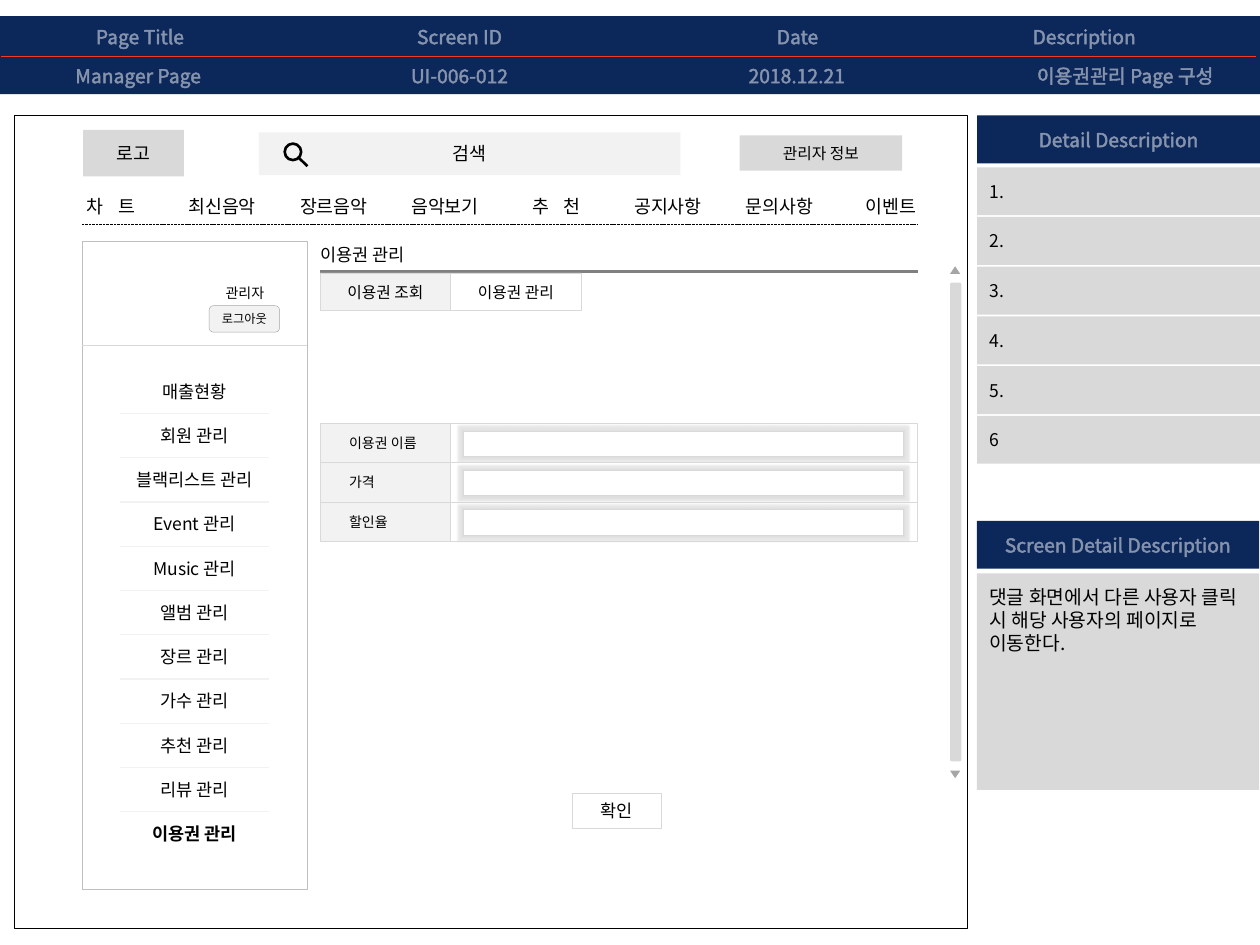
from lxml import etree
from pptx import Presentation
from pptx.dml.color import RGBColor
from pptx.enum import dml, shapes, text
from pptx.oxml import ns
from pptx.util import Pt

FONT = "Noto Sans CJK KR"
COLORS = {
    "navy": "0C2759", "white": "FFFFFF", "black": "000000", "red": "F33A24",
    "panel": "D9D9D9", "pale": "F2F2F2", "border": "BFBFBF",
    "arrow": "A6A6A6", "rule": "808080",
}
HEADER_ROWS = [
    (10.4, [("Page Title", 2, 156), ("Screen ID", 192.4, 140.4),
            ("Date", 367.9, 175.7), ("Description", 577.6, 84)]),
    (32.7, [("Manager Page", 1, 156), ("UI-006-012", 192.4, 140.4),
            ("2018.12.21", 367.5, 175.7), ("이용권관리 Page 구성", 579, 128)]),
]
DETAILS = ["1.", "2.", "3.", "4.", "5.", "6"]
SCREEN_DETAIL = "댓글 화면에서 다른 사용자 클릭 시 해당 사용자의 페이지로 이동한다."
MENU = ["차 트", "최신음악", "장르음악", "음악보기", "추 천", "공지사항", "문의사항", "이벤트"]
SIDEBAR = ["매출현황", "회원 관리", "블랙리스트 관리", "Event 관리", "Music 관리", "앨범 관리",
           "장르 관리", "가수 관리", "추천 관리", "리뷰 관리", "이용권 관리"]
TABS = [("이용권 조회", "pale"), ("이용권 관리", "white")]
FIELDS = ["이용권 이름", "가격", "할인율"]

deck = Presentation()
deck.slide_width, deck.slide_height = Pt(720), Pt(540)
page = deck.slides.add_slide(deck.slide_layouts[5])


def rgb(name):
    return RGBColor.from_string(COLORS[name])


def child(parent, tag, **attributes):
    return etree.SubElement(parent, ns.qn(tag), attributes)


def add_span(para, words, size, color, bold=False, spacing=None):
    span = para.add_run()
    span.text = words
    font = span.font
    font.name, font.size, font.bold = FONT, Pt(size), bold
    font.color.rgb = rgb(color)
    props = font._element
    child(props, "a:ea", typeface=FONT)
    outline = etree.Element(ns.qn("a:ln"), w="9525")
    props.insert(0, outline)
    solid = child(outline, "a:solidFill")
    child(child(solid, "a:srgbClr", val=COLORS["white"]), "a:alpha", val="50000")
    if spacing:
        props.set("spc", str(spacing))


def write(box, words, size, color="black", centred=True, bold=False,
          inset=7.2, top=None, wide_space=False):
    frame = box.text_frame
    frame.word_wrap = True
    frame.auto_size = text.MSO_AUTO_SIZE.NONE
    frame.margin_left = Pt(inset)
    frame.margin_right = Pt(min(inset, 7.2))
    frame.margin_top, frame.margin_bottom = Pt(top or 0), Pt(0)
    frame.vertical_anchor = text.MSO_ANCHOR.TOP if top else text.MSO_ANCHOR.MIDDLE
    para = frame.paragraphs[0]
    para.alignment = text.PP_ALIGN.CENTER if centred else text.PP_ALIGN.LEFT
    para.line_spacing = Pt(round(size * 1.2, 1))
    if wide_space:
        first, last = words.split()
        add_span(para, first, size, color)
        add_span(para, " ", size, color, spacing=600)
        add_span(para, last, size, color)
    else:
        add_span(para, words, size, color, bold)


def label(words, left, top, width, height, size, **options):
    box = page.shapes.add_textbox(Pt(left), Pt(top), Pt(width), Pt(height))
    write(box, words, size, **options)


def shape(left, top, width, height, fill=None, line=None, weight=0.25, kind="RECTANGLE"):
    box = page.shapes.add_shape(getattr(shapes.MSO_SHAPE, kind),
                                Pt(left), Pt(top), Pt(width), Pt(height))
    box.shadow.inherit = False
    if fill:
        box.fill.solid()
        box.fill.fore_color.rgb = rgb(fill)
    else:
        box.fill.background()
    if line:
        box.line.color.rgb = rgb(line)
        box.line.width = Pt(weight)
    else:
        box.line.fill.background()
    return box


def rule(x1, y1, x2, y2, color, weight=0.75, dash=None):
    line = page.shapes.add_connector(shapes.MSO_CONNECTOR.STRAIGHT,
                                     Pt(x1), Pt(y1), Pt(x2), Pt(y2))
    line.line.color.rgb = rgb(color)
    line.line.width = Pt(weight)
    if dash:
        line.line.dash_style = dash
    child(line._element.spPr, "a:effectLst")


def draw_header():
    shape(0, 9.2, 720, 44.6, "navy")
    for top, cells in HEADER_ROWS:
        for words, left, width in cells:
            label(words, left, top, width, 20.9, 11, color="white")
    rule(0.7, 32.4, 718, 32.4, "red")


def draw_descriptions():
    write(shape(558.4, 66, 161.6, 27.4, "navy"), "Detail Description", 11, "white")
    for index, words in enumerate(DETAILS):
        row = shape(558.4, 95.6 + 28.4 * index, 161.6, 27.4, "panel")
        write(row, words, 10, centred=False)
    write(shape(558.2, 297.6, 161.3, 27.4, "navy"), "Screen Detail Description", 11, "white")
    write(shape(558.2, 327.6, 161.3, 123.8, "panel"), SCREEN_DETAIL, 11,
          centred=False, top=6.8)


def draw_top():
    shape(8.3, 66, 544.5, 464.8, line="black", weight=0.5)
    write(shape(47.5, 74.3, 57.6, 26.6, "panel"), "로고", 10.5)
    shape(147.9, 75.6, 241, 24.5, "pale")
    label("검색", 215, 77.3, 106.6, 20.2, 10.5)
    shape(162.7, 82.1, 9.4, 9.4, line="black", weight=1.5, kind="OVAL")
    rule(170.6, 90, 175.7, 95, "black", 1.5)
    write(shape(422.6, 77.3, 92.9, 20.2, "panel"), "관리자 정보", 9)
    for index, words in enumerate(MENU):
        label(words, 10 + 63.67 * index, 107.5, 106.6, 20.2, 10.5, wide_space=" " in words)
    rule(46.8, 128.2, 524.3, 128.2, "black", 0.2, dml.MSO_LINE.SQUARE_DOT)


def draw_scrollbar():
    bar = shape(542.9, 161.5, 6.5, 273.6, "panel", kind="ROUNDED_RECTANGLE")
    bar.adjustments[0] = 0.17
    for top, angle in [(152.2, 0), (440.4, 180)]:
        arrow = shape(542.9, top, 5.8, 4.3, "arrow", kind="ISOSCELES_TRIANGLE")
        arrow.rotation = angle


def draw_sidebar():
    shape(46.8, 138, 128.9, 370.2, line="border")
    rule(46.8, 197.3, 175.7, 197.3, "panel")
    label("관리자", 119.5, 158.6, 41, 17.3, 8)
    write(shape(119.5, 174.7, 40.3, 15.1, "pale", "arrow", kind="ROUNDED_RECTANGLE"),
          "로그아웃", 7, inset=1)
    for index, words in enumerate(SIDEBAR):
        offset = 25.3 * index
        last = index == len(SIDEBAR) - 1
        label(words, 64.2, 213.8 + offset, 94, 19.4, 10, bold=last)
        if not last:
            rule(68.6, 236.2 + offset, 153.6, 236.2 + offset, "pale")


def draw_content():
    title = page.shapes.title
    title.left, title.top, title.width, title.height = Pt(176), Pt(135.6), Pt(108), Pt(19.4)
    write(title, "이용권 관리", 10, centred=False)
    rule(182.9, 155.3, 524.4, 155.3, "rule", 1.5)
    for index, (words, fill) in enumerate(TABS):
        write(shape(182.9 + 74.6 * index, 156, 74.6, 21.6, fill, "panel"), words, 9)
    for index, words in enumerate(FIELDS):
        top = 241.9 + 22.5 * index
        shape(182.9, top, 341.3, 22.5, "white", "panel")
        write(shape(182.9, top, 74.2, 22.5, "pale", "panel"), words, 8,
              centred=False, inset=16.6)
        entry = shape(264.7, top + 4.4, 251.3, 14.4, "white", "panel")
        effects = entry._element.spPr.find(ns.qn("a:effectLst"))
        glow = child(effects, "a:glow", rad="25400")
        child(child(glow, "a:srgbClr", val=COLORS["panel"]), "a:alpha", val="60000")
    write(shape(326.9, 453.2, 51.1, 20.2, "white", "panel"), "확인", 10)


draw_header()
draw_descriptions()
draw_top()
draw_scrollbar()
draw_sidebar()
draw_content()
deck.save("out.pptx")
